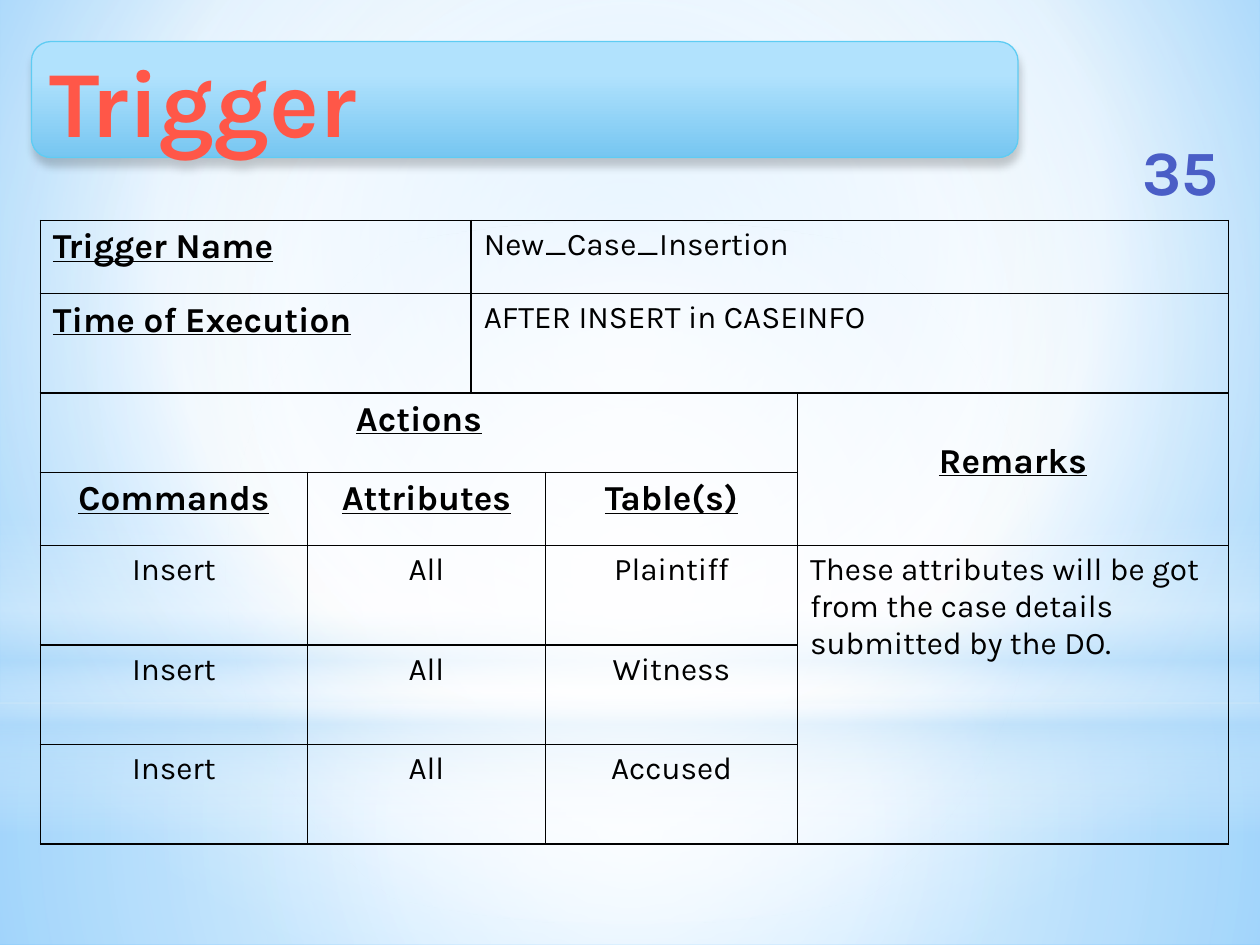
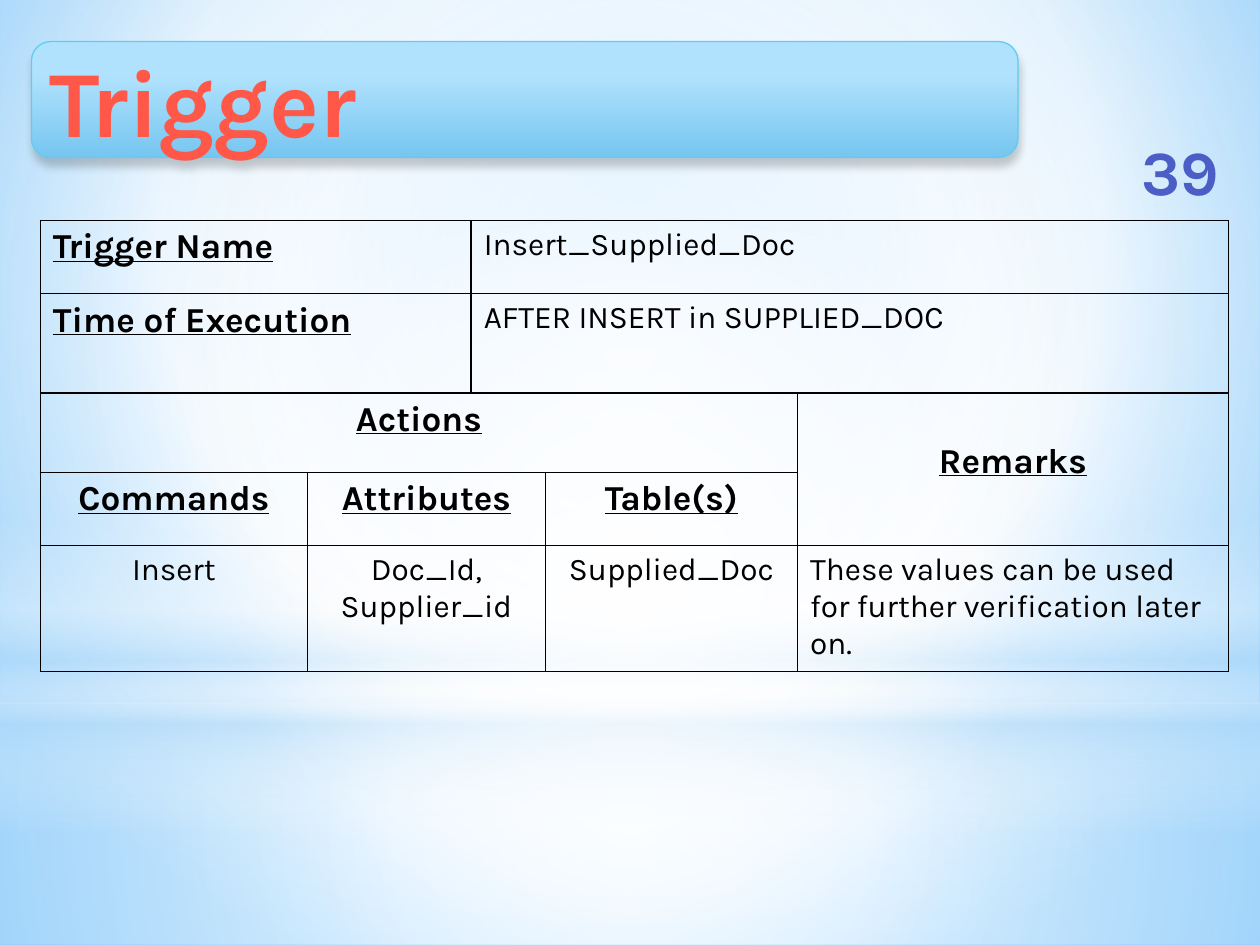
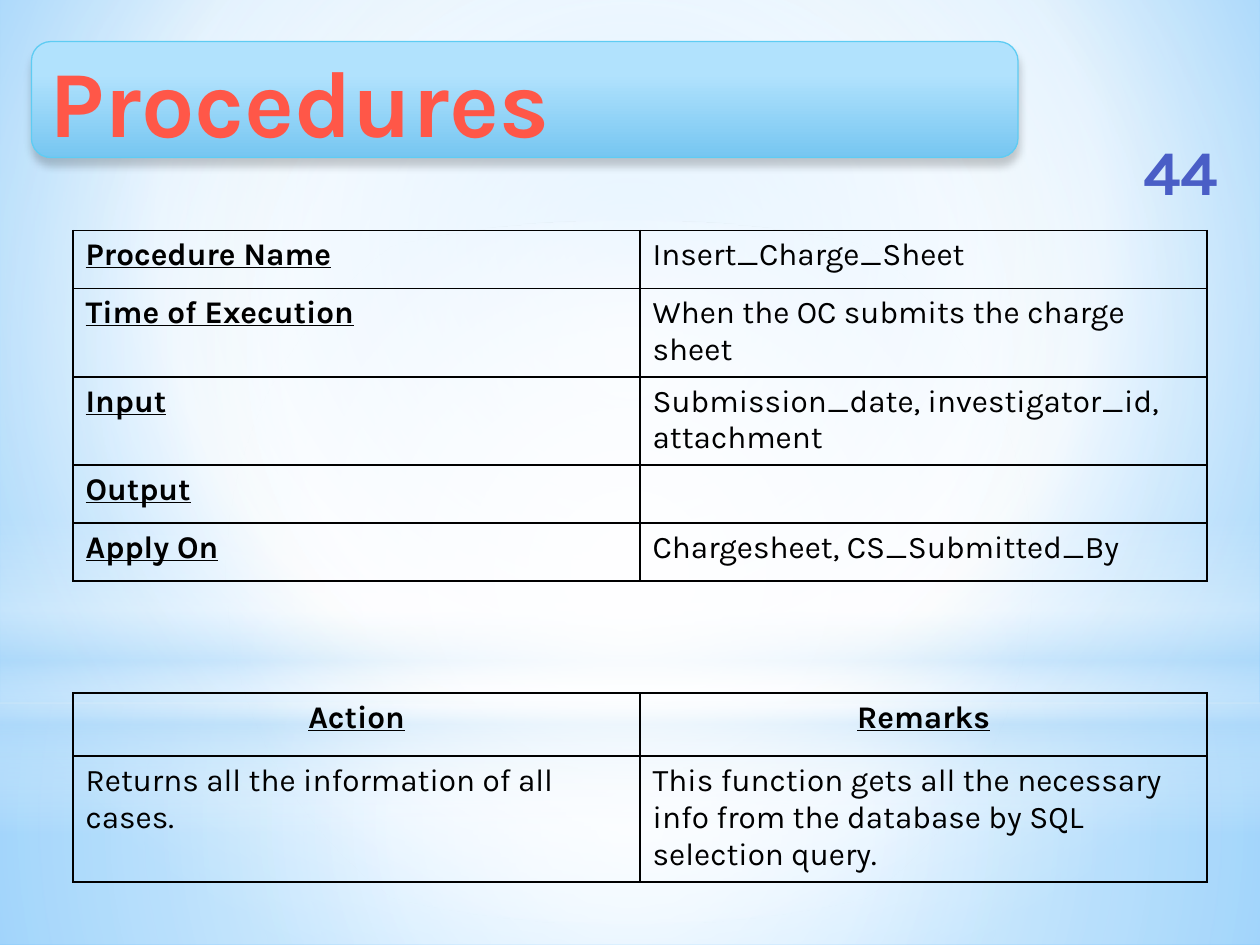
from dataclasses import dataclass

from pptx import Presentation
from pptx.dml.color import RGBColor
from pptx.dml.fill import FillFormat
from pptx.enum.shapes import MSO_SHAPE as Shape
from pptx.enum.text import MSO_ANCHOR as Anchor, PP_ALIGN as Align
from pptx.oxml import parse_xml
from pptx.oxml.ns import nsdecls, qn
from pptx.oxml.xmlchemy import BaseOxmlElement as Element
from pptx.presentation import Presentation as Deck
from pptx.slide import Slide
from pptx.text.text import TextFrame
from pptx.util import Inches, Pt

FONT = "Karla"
BLACK = RGBColor(0x00, 0x00, 0x00)
WHITE = RGBColor(0xFF, 0xFF, 0xFF)
PALE_BLUE = RGBColor(0xB4, 0xDC, 0xFA)
SKY = RGBColor(0x9E, 0xD5, 0xFF)
DEEP_SKY = RGBColor(0x5B, 0xB9, 0xFF)
BAND_TOP = RGBColor(0xB1, 0xE2, 0xFD)
BAND_BOTTOM = RGBColor(0x76, 0xC6, 0xF1)
BAND_LINE = RGBColor(0x5E, 0xCC, 0xF3)
TITLE_RED = RGBColor(0xFF, 0x57, 0x48)
NUMBER_BLUE = RGBColor(0x4A, 0x5E, 0xC6)

CENTRE = (50, 50, 50, 50)
BODY_SIZE = 18
TRIGGER_COLS = (2.12, 1.3, 0.59, 2, 3.42)


@dataclass(frozen=True)
class Stop:
    position: int
    color: RGBColor
    opacity: int = 100


@dataclass(frozen=True)
class Gradient:
    stops: tuple[Stop, ...]
    focus: tuple[int, int, int, int] | None = None


@dataclass(frozen=True)
class Glow:
    shape: Shape
    top: float
    height: float
    gradient: Gradient


@dataclass(frozen=True)
class Cell:
    row: int
    col: int
    text: str
    rows: int = 1
    cols: int = 1
    head: bool = False
    centred: bool = False
    margin_top: float = 0.05


@dataclass(frozen=True)
class Grid:
    left: float
    top: float
    cols: tuple[float, ...]
    rows: tuple[float, ...]
    cells: list[Cell]
    head_size: int


@dataclass(frozen=True)
class Trigger:
    number: int
    name: str
    time: str
    actions: list[tuple[str, str, str]]
    remark: str


BACKGROUND = Gradient(
    (Stop(0, SKY), Stop(60, WHITE), Stop(100, DEEP_SKY)), (20, 10, 20, 60))
BAND = Gradient((Stop(28, BAND_TOP), Stop(100, BAND_BOTTOM)))
GLOWS = [
    Glow(Shape.RECTANGLE, 5.58, 1.92, Gradient(
        (Stop(0, WHITE, 91), Stop(37, WHITE, 76), Stop(100, PALE_BLUE, 79)), CENTRE)),
    Glow(Shape.RECTANGLE, 0, 5.58, Gradient(
        (Stop(0, WHITE, 89), Stop(48, WHITE, 62), Stop(100, PALE_BLUE, 79)), CENTRE)),
    Glow(Shape.RECTANGLE, 4.12, 2.5, Gradient(
        (Stop(0, WHITE, 0), Stop(29, WHITE, 30), Stop(45, PALE_BLUE, 40),
         Stop(55, WHITE, 26), Stop(65, PALE_BLUE, 60), Stop(100, WHITE, 0)))),
    Glow(Shape.OVAL, 1.75, 5.58, Gradient(
        (Stop(0, WHITE), Stop(56, WHITE, 0)), CENTRE)),
]

TRIGGERS = [
    Trigger(35, "New_Case_Insertion", "AFTER INSERT in CASEINFO",
            [("Insert", "All", "Plaintiff"),
             ("Insert", "All", "Witness"),
             ("Insert", "All", "Accused")],
            "These attributes will be got from the case details submitted by the DO."),
    Trigger(39, "Insert_Supplied_Doc", "AFTER INSERT in SUPPLIED_DOC",
            [("Insert", "Doc_Id, Supplier_id", "Supplied_Doc")],
            "These values can be used for further verification later on."),
]
PROCEDURE = [
    ("Procedure Name", "Insert_Charge_Sheet"),
    ("Time of Execution", "When the OC submits the charge sheet"),
    ("Input", "Submission_date, investigator_id, attachment"),
    ("Output", ""),
    ("Apply On", "Chargesheet, CS_Submitted_By"),
]
PROCEDURE_ACTION = [
    ("Action", "Returns all the information of all cases."),
    ("Remarks", "This function gets all the necessary info from the database "
                "by SQL selection query."),
]


def paint(fill: FillFormat, owner: Element, gradient: Gradient) -> None:
    fill.gradient()
    old = next(owner.iter(qn("a:gradFill")))
    stops = "".join(
        f'<a:gs pos="{stop.position * 1000}"><a:srgbClr val="{stop.color}">'
        f'<a:alpha val="{stop.opacity * 1000}"/></a:srgbClr></a:gs>'
        for stop in gradient.stops)
    direction = '<a:lin ang="5400000" scaled="0"/>'
    if gradient.focus:
        l, t, r, b = (side * 1000 for side in gradient.focus)
        direction = ('<a:path path="circle">'
                     f'<a:fillToRect l="{l}" t="{t}" r="{r}" b="{b}"/></a:path>')
    old.getparent().replace(old, parse_xml(
        f'<a:gradFill {nsdecls("a")} rotWithShape="1"><a:gsLst>{stops}</a:gsLst>'
        f'{direction}</a:gradFill>'))


def write(tf: TextFrame, text: str, size: int, color: RGBColor, align: Align,
          bold: bool = False, underline: bool = False) -> None:
    tf.word_wrap = True
    p = tf.paragraphs[0]
    p.text = text
    p.alignment = align
    p.font.name = FONT
    p.font.size = Pt(size)
    p.font.bold = bold
    p.font.underline = underline
    p.font.color.rgb = color


def add_glow(s: Slide, glow: Glow) -> None:
    sp = s.shapes.add_shape(
        glow.shape, 0, Inches(glow.top), Inches(10), Inches(glow.height))
    sp.shadow.inherit = False
    sp.line.fill.background()
    paint(sp.fill, sp.element, glow.gradient)


def add_title(s: Slide, title: str) -> None:
    sp = s.shapes.add_shape(
        Shape.ROUNDED_RECTANGLE, Inches(0.25), Inches(0.33), Inches(7.83), Inches(0.92))
    paint(sp.fill, sp.element, BAND)
    sp.line.color.rgb = BAND_LINE
    sp.line.width = Pt(0.75)
    sp.shadow.inherit = False
    next(sp.element.iter(qn("a:effectLst"))).append(parse_xml(
        f'<a:outerShdw {nsdecls("a")} blurRad="{Pt(5)}" dist="{Pt(4)}" dir="5400000" '
        f'rotWithShape="0"><a:srgbClr val="{BLACK}"><a:alpha val="20000"/></a:srgbClr>'
        '</a:outerShdw>'))
    sp.text_frame.vertical_anchor = Anchor.MIDDLE
    write(sp.text_frame, title, 54, TITLE_RED, Align.LEFT, bold=True)


def add_number(s: Slide, number: int) -> None:
    sp = s.shapes.add_textbox(Inches(8.88), Inches(1.08), Inches(0.98), Inches(0.54))
    sp.text_frame.vertical_anchor = Anchor.MIDDLE
    write(sp.text_frame, str(number), 36, NUMBER_BLUE, Align.CENTER, bold=True)


def add_slide(prs: Deck, title: str, number: int) -> Slide:
    s = prs.slides.add_slide(prs.slide_layouts[6])
    for glow in GLOWS:
        add_glow(s, glow)
    add_title(s, title)
    add_number(s, number)
    return s


def add_grid(s: Slide, grid: Grid) -> None:
    frame = s.shapes.add_table(
        len(grid.rows), len(grid.cols), Inches(grid.left), Inches(grid.top),
        Inches(sum(grid.cols)), Inches(sum(grid.rows)))
    table = frame.table
    table.first_row = table.horz_banding = False
    for column, width in zip(table.columns, grid.cols):
        column.width = Inches(width)
    for row, height in zip(table.rows, grid.rows):
        row.height = Inches(height)
    for cell in table.iter_cells():
        cell.fill.background()
    for properties in frame.element.iter(qn("a:tcPr")):
        for i, side in enumerate("LRTB"):
            properties.insert(i, parse_xml(
                f'<a:ln{side} {nsdecls("a")} w="{Pt(1)}"><a:solidFill>'
                f'<a:srgbClr val="{BLACK}"/></a:solidFill></a:ln{side}>'))
    for item in grid.cells:
        cell = table.cell(item.row, item.col)
        if item.rows > 1 or item.cols > 1:
            cell.merge(table.cell(item.row + item.rows - 1, item.col + item.cols - 1))
        cell.margin_top = Inches(item.margin_top)
        write(cell.text_frame, item.text, grid.head_size if item.head else BODY_SIZE,
              BLACK, Align.CENTER if item.centred else Align.LEFT,
              bold=item.head, underline=item.head)


def trigger_grid(trigger: Trigger) -> Grid:
    count = len(trigger.actions)
    cells = [
        Cell(0, 0, "Trigger Name", cols=2, head=True),
        Cell(0, 2, trigger.name, cols=3),
        Cell(1, 0, "Time of Execution", cols=2, head=True),
        Cell(1, 2, trigger.time, cols=3),
        Cell(2, 0, "Actions", cols=4, head=True, centred=True),
        Cell(2, 4, "Remarks", rows=2, head=True, centred=True, margin_top=0.38),
        Cell(4, 4, trigger.remark, rows=count),
    ]
    lines = [("Commands", "Attributes", "Table(s)"), *trigger.actions]
    for row, (command, attributes, target) in enumerate(lines, 3):
        head = row == 3
        cells += [
            Cell(row, 0, command, head=head, centred=True),
            Cell(row, 1, attributes, cols=2, head=head, centred=True),
            Cell(row, 3, target, head=head, centred=True),
        ]
    rows = (0.58, 0.79, 0.63, 0.58) + (0.79,) * count
    return Grid(0.32, 1.75, TRIGGER_COLS, rows, cells, head_size=20)


def procedure_grids() -> list[Grid]:
    details = [
        cell for row, (label, value) in enumerate(PROCEDURE)
        for cell in (Cell(row, 0, label, head=True), Cell(row, 1, value))]
    action = [
        cell for col, (label, value) in enumerate(PROCEDURE_ACTION)
        for cell in (Cell(0, col, label, head=True, centred=True), Cell(1, col, value))]
    cols = (4.5, 4.5)
    return [
        Grid(0.58, 1.83, cols, (0.46, 0.69, 0.69, 0.46, 0.46), details, BODY_SIZE),
        Grid(0.58, 5.5, cols, (0.5, 0.98), action, BODY_SIZE),
    ]


def main() -> None:
    prs = Presentation()
    prs.slide_width, prs.slide_height = Inches(10), Inches(7.5)
    master = prs.slide_master
    paint(master.background.fill, master.element, BACKGROUND)
    for trigger in TRIGGERS:
        add_grid(add_slide(prs, "Trigger", trigger.number), trigger_grid(trigger))
    s = add_slide(prs, "Procedures", 44)
    for grid in procedure_grids():
        add_grid(s, grid)
    prs.save("out.pptx")


if __name__ == "__main__":
    main()
